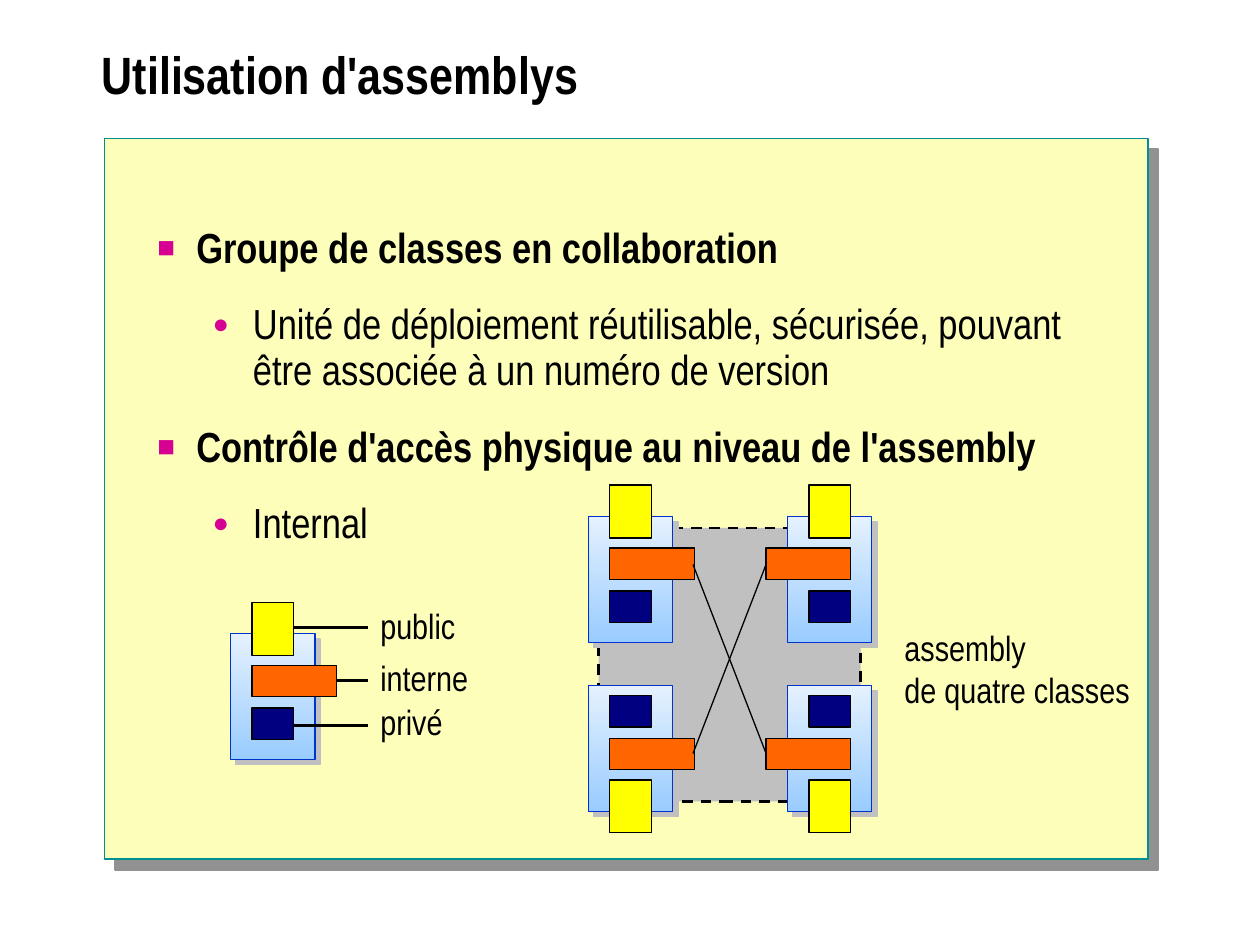
import lxml.etree
import pptx
import pptx.dml.color
import pptx.enum.dml
import pptx.enum.shapes
import pptx.enum.text
import pptx.oxml.ns
import pptx.util

Inches = pptx.util.Inches
Pt = pptx.util.Pt
qn = pptx.oxml.ns.qn


def colour(value):
    return pptx.dml.color.RGBColor.from_string(value)


def apply(target, values):
    for name, value in values.items():
        setattr(target, name, value)


def add_xml(parent, tag, **attributes):
    return lxml.etree.SubElement(parent, qn(tag), attributes)


class SlideBuilder:
    font = {"name": "Arial Narrow"}
    ink = "000000"
    bullet_colour = "D60093"
    bullets = [
        {"char": "■", "size": "70000", "margin": 0.31, "indent": -0.31, "bold": True},
        {"char": "●", "size": "65000", "margin": 0.76, "indent": -0.32, "bold": False},
    ]
    gradient = ("E5F1FE", "99CCFF")
    class_shadow = ("C0C0C0", 4.2)

    def __init__(self, slide):
        self.slide = slide

    def box(self, left, top, width, height, fill, line=ink, weight=0.75, dash=None, shadow=None):
        shape = self.slide.shapes.add_shape(
            pptx.enum.shapes.MSO_SHAPE.RECTANGLE,
            Inches(left), Inches(top), Inches(width), Inches(height))
        if isinstance(fill, tuple):
            shape.fill.gradient()
            shape.fill.gradient_angle = 270
            for stop, shade in zip(shape.fill.gradient_stops, fill):
                stop.color.rgb = colour(shade)
        else:
            shape.fill.solid()
            shape.fill.fore_color.rgb = colour(fill)
        shape.line.color.rgb = colour(line)
        apply(shape.line, {"width": Pt(weight), "dash_style": dash})
        shape.shadow.inherit = False
        if shadow:
            shade, distance = shadow
            effects = shape.element.spPr.find(qn("a:effectLst"))
            outer = add_xml(effects, "a:outerShdw", blurRad="0", dist=str(Pt(distance)),
                            dir="2700000", algn="ctr", rotWithShape="0")
            add_xml(outer, "a:srgbClr", val=shade)

    def line(self, start, end, weight):
        connector = self.slide.shapes.add_connector(
            pptx.enum.shapes.MSO_CONNECTOR.STRAIGHT, *map(Inches, start + end))
        connector.line.color.rgb = colour(self.ink)
        connector.line.width = Pt(weight)
        add_xml(connector.element.spPr, "a:effectLst")

    def text(self, left, top, width, height, lines, size=20, bold=False, frame=None, spacing=None):
        textbox = self.slide.shapes.add_textbox(
            Inches(left), Inches(top), Inches(width), Inches(height))
        apply(textbox.text_frame, frame or {
            "word_wrap": False,
            "auto_size": pptx.enum.text.MSO_AUTO_SIZE.SHAPE_TO_FIT_TEXT})
        textbox.text_frame.text = "\n".join(lines)
        for paragraph in textbox.text_frame.paragraphs:
            apply(paragraph, spacing or {})
            for run in paragraph.runs:
                apply(run.font, {**self.font, "size": Pt(size), "bold": bold})
                run.font.color.rgb = colour(self.ink)
        return textbox.text_frame.paragraphs

    def outline(self, left, top, width, height, items):
        paragraphs = self.text(
            left, top, width, height, [words for _, words in items], size=24,
            frame={"word_wrap": True}, spacing={"line_spacing": 0.9, "space_before": Pt(18)})
        for paragraph, (level, _) in zip(paragraphs, items):
            bullet = self.bullets[level]
            paragraph.level = level
            paragraph.runs[0].font.bold = bullet["bold"]
            properties = paragraph._p.get_or_add_pPr()
            properties.set("marL", str(Inches(bullet["margin"])))
            properties.set("indent", str(Inches(bullet["indent"])))
            add_xml(add_xml(properties, "a:buClr"), "a:srgbClr", val=self.bullet_colour)
            add_xml(properties, "a:buSzPct", val=bullet["size"])
            add_xml(properties, "a:buFont", typeface="Arial")
            add_xml(properties, "a:buChar", char=bullet["char"])

    def class_block(self, left, top, mirrored=False, flipped=False):
        self.box(left, top, 0.67, 1, self.gradient, "0033CC", shadow=self.class_shadow)
        members = [
            (-0.25, 0.33, 0.42, "FFFF00"),
            (0.25, 0.67, 0.25, "FF6600"),
            (0.59, 0.33, 0.25, "000080"),
        ]
        for drop, width, height, fill in members:
            across = 0.5 - width if mirrored else 0.17
            down = 0.92 - drop - height if flipped else drop
            self.box(left + across, top + down, width, height, fill)


def main():
    deck = pptx.Presentation()
    apply(deck, {"slide_width": Inches(10), "slide_height": Inches(7.5)})
    builder = SlideBuilder(deck.slides.add_slide(deck.slide_layouts[6]))

    builder.box(0.83, 1.1, 8.28, 5.72, "FCFEB9", "009094", 1, shadow=("919191", 8.5))
    builder.text(0.71, 0.17, 8.96, 0.92, ["Utilisation d'assemblys"], 30, True,
                 {"word_wrap": True, "vertical_anchor": pptx.enum.text.MSO_ANCHOR.MIDDLE},
                 {"line_spacing": 0.8})
    builder.outline(1.15, 1.75, 7.87, 4.69, [
        (0, "Groupe de classes en collaboration"),
        (1, "Unité de déploiement réutilisable, sécurisée, pouvant être associée à un numéro de version"),
        (0, "Contrôle d'accès physique au niveau de l'assembly"),
        (1, "Internal"),
    ])

    builder.text(7.08, 4.92, 2.02, 0.77, ["assembly", "de quatre classes"])
    builder.box(4.75, 4.19, 2.08, 2.17, "C0C0C0", weight=1.5,
                dash=pptx.enum.dml.MSO_LINE.DASH)
    for top, flipped in ((4.1, False), (5.44, True)):
        for left, mirrored in ((4.67, False), (6.25, True)):
            builder.class_block(left, top, mirrored, flipped)
    for start, end in ((4.48, 5.98), (5.98, 4.48)):
        builder.line((5.5, start), (6.08, end), 0.75)

    builder.class_block(1.83, 5.03)
    legend = [
        ("public", 4.75, 0.83, 2.33, 4.98),
        ("interne", 5.16, 0.94, 2.67, 5.4),
        ("privé", 5.51, 0.73, 2.33, 5.76),
    ]
    for access, top, width, edge, level in legend:
        builder.text(2.92, top, width, 0.44, [access])
        builder.line((edge, level), (2.92, level), 1.5)

    deck.save("out.pptx")


if __name__ == "__main__":
    main()
